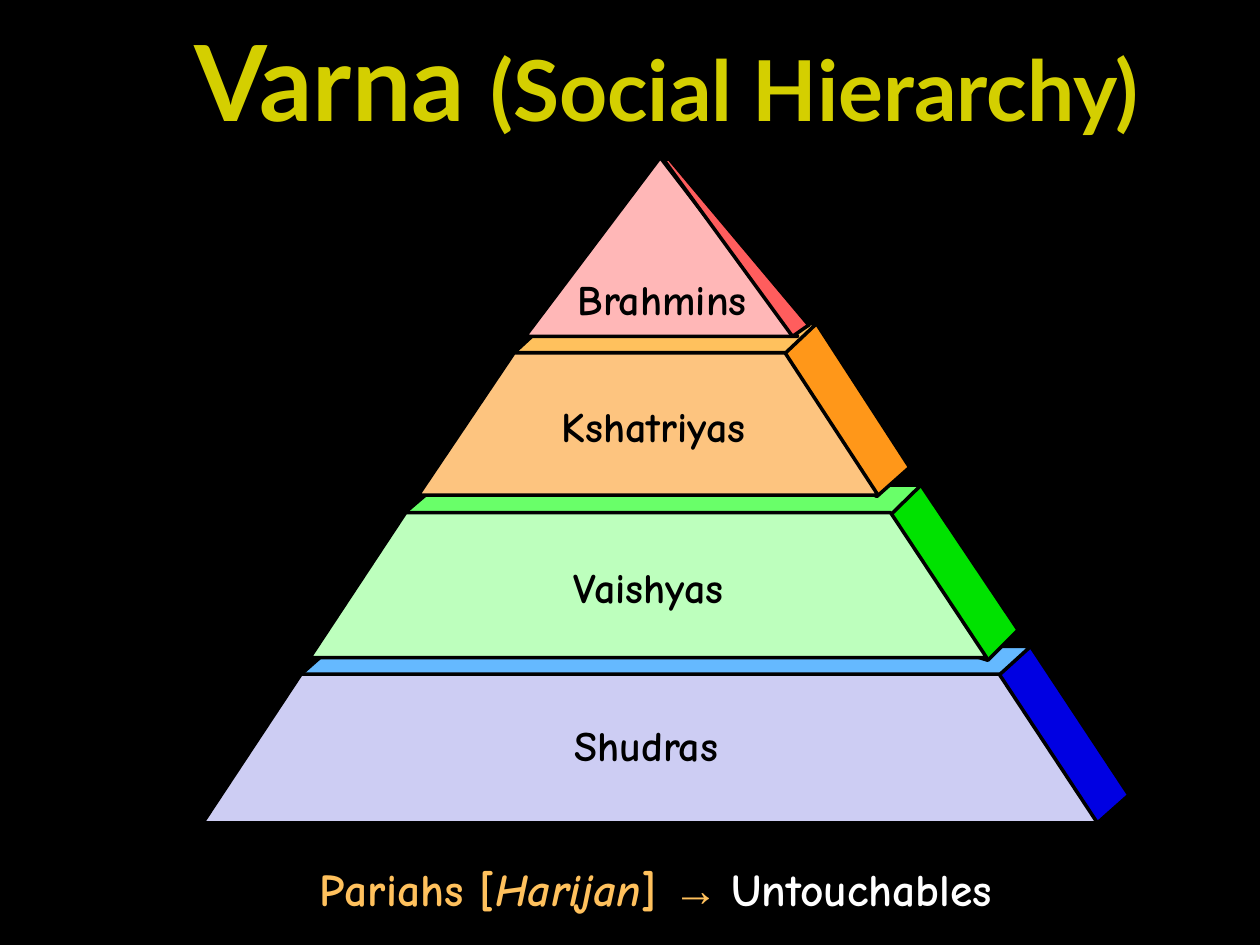
from pptx import Presentation
from pptx.dml.color import RGBColor
from pptx.enum.text import MSO_ANCHOR, MSO_AUTO_SIZE, PP_ALIGN
from pptx.util import Pt

CENTER = PP_ALIGN.CENTER
TOP, MIDDLE = MSO_ANCHOR.TOP, MSO_ANCHOR.MIDDLE
GROW = MSO_AUTO_SIZE.SHAPE_TO_FIT_TEXT

BLACK = RGBColor(0x00, 0x00, 0x00)
WHITE = RGBColor(0xFF, 0xFF, 0xFF)
YELLOW = RGBColor(0xD4, 0xCF, 0x00)
BLUE = RGBColor(0x00, 0x00, 0xE2)
SKY = RGBColor(0x65, 0xB9, 0xFF)
LAVENDER = RGBColor(0xCD, 0xCD, 0xF3)
GREEN = RGBColor(0x00, 0xE2, 0x00)
LIME = RGBColor(0x69, 0xFF, 0x69)
MINT = RGBColor(0xBD, 0xFF, 0xBD)
ORANGE = RGBColor(0xFF, 0x97, 0x19)
AMBER = RGBColor(0xFF, 0xC1, 0x5D)
PEACH = RGBColor(0xFD, 0xC4, 0x7F)
RED = RGBColor(0xFF, 0x5D, 0x5D)
PINK = RGBColor(0xFF, 0xB7, 0xB7)

TITLE_FONT, BODY_FONT, ARROW_FONT = "Lato", "Comic Neue", "Arial"


class PyramidSlide:
    outline = Pt(2)

    def __init__(self, deck):
        self.slide = deck.slides.add_slide(deck.slide_layouts[6])
        self.slide.background.fill.solid()
        self.slide.background.fill.fore_color.rgb = BLACK

    def face(self, color, corners):
        points = [(Pt(x), Pt(y)) for x, y in corners]
        builder = self.slide.shapes.build_freeform(*points[0])
        builder.add_line_segments(points[1:], close=True)
        face = builder.convert_to_shape()
        face.shadow.inherit = False
        face.fill.solid()
        face.fill.fore_color.rgb = color
        face.line.color.rgb = BLACK
        face.line.width = self.outline

    def text(self, box, runs, after, anchor=TOP, insets=(0, 0)):
        frame = self.slide.shapes.add_textbox(*map(Pt, box)).text_frame
        frame.word_wrap = True
        frame.auto_size = GROW
        frame.vertical_anchor = anchor
        frame.margin_left = frame.margin_right = Pt(insets[0])
        frame.margin_top = frame.margin_bottom = Pt(insets[1])
        paragraph = frame.paragraphs[0]
        paragraph.alignment = CENTER
        paragraph.space_after = Pt(after)
        for wording, font, size, color, italic in runs:
            run = paragraph.add_run()
            run.text = wording
            run.font.name = font
            run.font.size = Pt(size)
            run.font.bold = True
            run.font.italic = italic
            run.font.color.rgb = color

    def label(self, name, left, top, width):
        self.text((left, top, width, 28.8),
                  [(name, BODY_FONT, 24, BLACK, False)], 4.5, MIDDLE)


TIERS = [
    (BLUE, [(626.4, 470.9), (645.1, 454.3), (589, 369.4), (190.1, 369.4)]),
    (SKY, [(170.6, 386.6), (549.4, 405.4), (589, 369.4), (190.1, 369.4)]),
    (LAVENDER, [(115.9, 470.2), (627.1, 470.2), (571, 385.2), (172.1, 385.2)]),
    (GREEN, [(564.5, 377.3), (581.8, 360), (526.3, 277.2), (249.8, 277.2)]),
    (LIME, [(230.4, 293.8), (463.7, 338.4), (526.3, 277.2), (249.8, 277.2)]),
    (MINT, [(177.1, 375.8), (563.8, 375.8), (509, 293), (231.8, 293)]),
    (ORANGE, [(501.1, 283.7), (519.8, 267.1), (466.6, 185), (311.8, 185)]),
    (AMBER, [(293.8, 201.6), (427.7, 221.8), (466.6, 185), (311.8, 185)]),
    (PEACH, [(239, 283), (501.8, 283), (448.6, 201.6), (293.8, 201.6)]),
    (PINK, [(300.2, 192.2), (455.8, 192.2), (377.3, 90)]),
]
PEAK_SIDE = [(462.2, 185.8), (382.3, 90.7), (379.4, 91.4),
             (452.9, 192.2), (460.1, 187.2)]
VARNAS = [
    ("Shudras", 192.2, 411.1, 354.2),
    ("Vaishyas", 236.2, 321.1, 268.6),
    ("Kshatriyas ", 293.8, 229, 167.8),
    ("Brahmins", 294.5, 156.2, 167.8),
]


def main():
    deck = Presentation()
    deck.slide_width, deck.slide_height = Pt(720), Pt(540)
    pyramid = PyramidSlide(deck)
    pyramid.text((84.2, 5.8, 594, 136.8), [
        ("Varna ", TITLE_FONT, 60, YELLOW, False),
        ("(Social Hierarchy)", TITLE_FONT, 48, YELLOW, False),
    ], 5, insets=(7.2, 3.6))
    for color, corners in TIERS:
        pyramid.face(color, corners)
    for varna in VARNAS:
        pyramid.label(*varna)
    pyramid.text((131.8, 491.8, 486, 31), [
        ("Pariahs [", BODY_FONT, 26, AMBER, False),
        ("Harijan", BODY_FONT, 26, AMBER, True),
        ("] ", BODY_FONT, 26, AMBER, False),
        ("→ ", ARROW_FONT, 26, AMBER, False),
        ("Untouchables", BODY_FONT, 26, WHITE, False),
    ], 4.9)
    pyramid.face(RED, PEAK_SIDE)
    deck.save("out.pptx")


if __name__ == "__main__":
    main()
